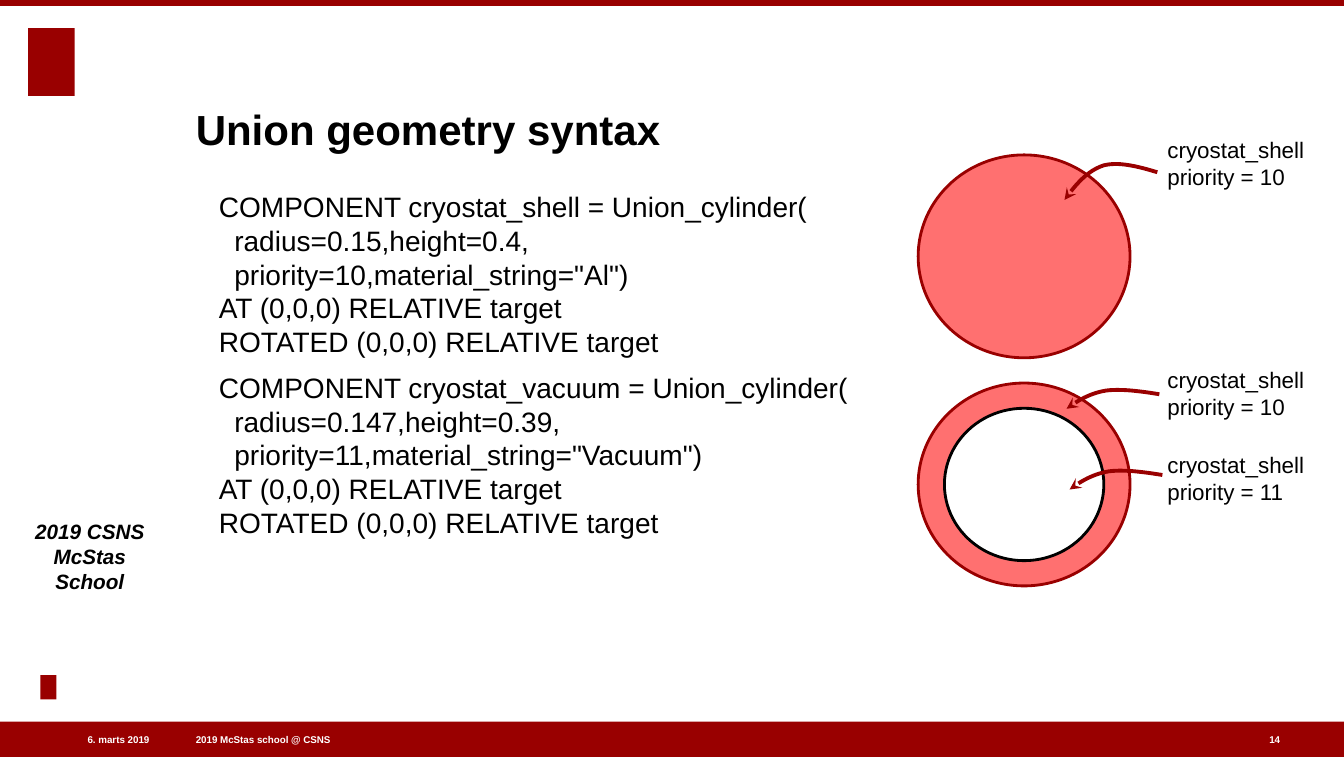
from lxml import etree
from pptx import Presentation
from pptx import util as u
from pptx.dml.color import RGBColor
from pptx.enum import shapes, text
from pptx.oxml.ns import qn

RED = RGBColor(0x99, 0x00, 0x00)
PINK = RGBColor(0xFF, 0x70, 0x70)
WHITE = RGBColor(0xFF, 0xFF, 0xFF)
BLACK = RGBColor(0x00, 0x00, 0x00)

WIDTH, HEIGHT = 13.32, 7.5
FOOTER_HEIGHT = 0.35
LABEL_LEFT = 11.57
CIRCLE_CENTRE = 10.15

# Two joined Bezier curves, as offsets from the arrow tip; y is in units of the rise.
ARROW_CURVE = [(0.92, -0.72), (0.73, -0.87), (0.54, -1), (0.39, -0.9),
               (0.23, -0.77), (0.11, -0.4), (0, 0)]

CODE = [
    """COMPONENT cryostat_shell = Union_cylinder(
  radius=0.15,height=0.4,
  priority=10,material_string="Al")
AT (0,0,0) RELATIVE target
ROTATED (0,0,0) RELATIVE target""",
    """COMPONENT cryostat_vacuum = Union_cylinder(
  radius=0.147,height=0.39,
  priority=11,material_string="Vacuum")
AT (0,0,0) RELATIVE target
ROTATED (0,0,0) RELATIVE target""",
]

# Label top, priority, arrow tip (x, y), arrow rise
CALLOUTS = [
    (1.35, 10, (10.55, 1.98), 0.38),
    (3.63, 10, (10.57, 4.05), 0.2),
    (4.47, 11, (10.6, 4.85), 0.2),
]


def bezier(points, steps=12):
    """Return points along a cubic Bezier curve, without its start."""
    curve = []
    for step in range(1, steps + 1):
        t = step / steps
        weights = ((1 - t) ** 3, 3 * t * (1 - t) ** 2, 3 * t * t * (1 - t), t ** 3)
        curve.append(tuple(sum(w * p[axis] for w, p in zip(weights, points))
                           for axis in (0, 1)))
    return curve


class SlideBuilder:
    font = "Arial"

    def __init__(self, slide):
        self.slide = slide

    def add_text(self, left, top, width, height, *paragraphs, size=16, color=BLACK,
                 bold=False, italic=False, align=text.PP_ALIGN.LEFT,
                 anchor=text.MSO_ANCHOR.TOP, margins=(0, 0), space=0, wrap=True):
        """Add a text box; margins are (sides, top and bottom) in inches."""
        box = self.slide.shapes.add_textbox(
            u.Inches(left), u.Inches(top), u.Inches(width), u.Inches(height))
        frame = box.text_frame
        frame.word_wrap = wrap
        frame.vertical_anchor = anchor
        frame.margin_left = frame.margin_right = u.Inches(margins[0])
        frame.margin_top = frame.margin_bottom = u.Inches(margins[1])
        for index, content in enumerate(paragraphs):
            para = frame.add_paragraph() if index else frame.paragraphs[0]
            para.text = content.replace("\n", "\v")
            para.alignment = align
            if index:
                para.space_before = u.Pt(space)
            for span in para.runs:
                span.font.name = self.font
                span.font.size = u.Pt(size)
                span.font.bold = bold
                span.font.italic = italic
                span.font.color.rgb = color

    def shape(self, kind, left, top, width, height, fill, line=None):
        shape = self.slide.shapes.add_shape(
            kind, u.Inches(left), u.Inches(top), u.Inches(width), u.Inches(height))
        shape.shadow.inherit = False
        shape.fill.solid()
        shape.fill.fore_color.rgb = fill
        if line is None:
            shape.line.fill.background()
        else:
            shape.line.color.rgb = line
            shape.line.width = u.Pt(2)

    def bar(self, left, top, width, height):
        self.shape(shapes.MSO_SHAPE.RECTANGLE, left, top, width, height, RED)

    def circle(self, centre_y, width, height, fill, line):
        self.shape(shapes.MSO_SHAPE.OVAL, CIRCLE_CENTRE - width / 2,
                   centre_y - height / 2, width, height, fill, line)

    def curved_arrow(self, tip, rise):
        points = [(tip[0] + x, tip[1] + y * rise) for x, y in ARROW_CURVE]
        trace = bezier(points[:4]) + bezier(points[3:])
        # Whole units are needed, so work in EMU.
        start, *rest = [(u.Inches(x), u.Inches(y)) for x, y in points[:1] + trace]
        builder = self.slide.shapes.build_freeform(*start)
        builder.add_line_segments(rest, close=False)
        arrow = builder.convert_to_shape()
        arrow.shadow.inherit = False
        arrow.fill.background()
        arrow.line.color.rgb = RED
        arrow.line.width = u.Pt(2.75)
        outline = arrow.element.spPr.find(qn("a:ln"))
        etree.SubElement(outline, qn("a:round"))
        etree.SubElement(outline, qn("a:tailEnd"), type="stealth")

    def footer(self, left, width, content, **style):
        self.add_text(left, 7.26, width, 0.14, content, size=7, color=WHITE,
                      bold=True, anchor=text.MSO_ANCHOR.MIDDLE, **style)


def main():
    deck = Presentation()
    deck.slide_width = u.Inches(WIDTH)
    deck.slide_height = u.Inches(HEIGHT)
    page = SlideBuilder(deck.slides.add_slide(deck.slide_layouts[6]))

    page.bar(0, 0, WIDTH, 0.06)
    page.bar(0, HEIGHT - FOOTER_HEIGHT, WIDTH, FOOTER_HEIGHT)
    page.bar(0.28, 0.28, 0.46, 0.67)  # plain emblem blocks
    page.bar(0.4, 6.69, 0.16, 0.24)
    page.footer(0.27, 1.21, "6. marts 2019", align=text.PP_ALIGN.RIGHT)
    page.footer(1.94, 3.72, "2019 McStas school @ CSNS")
    page.footer(12.58, 0.14, "14", wrap=False)

    page.add_text(0.34, 5.09, 1.1, 0.79, "2019 CSNS\nMcStas School", size=14.8,
                  bold=True, italic=True, align=text.PP_ALIGN.CENTER,
                  anchor=text.MSO_ANCHOR.BOTTOM)
    page.add_text(1.94, 0.47, 10.18, 1.06, "Union geometry syntax", size=30,
                  bold=True, anchor=text.MSO_ANCHOR.BOTTOM)
    page.add_text(2.07, 1.83, 6.66, 3.59, *CODE, size=20, margins=(0.1, 0.05),
                  space=9)

    page.circle(2.54, 2.1, 2.01, PINK, RED)
    page.circle(4.8, 2.1, 2.01, PINK, RED)
    page.circle(4.8, 1.58, 1.51, WHITE, BLACK)
    for top, priority, tip, rise in CALLOUTS:
        page.add_text(LABEL_LEFT, top, WIDTH - LABEL_LEFT, 0.66,
                      f"cryostat_shell\npriority = {priority}")
        page.curved_arrow(tip, rise)

    deck.save("out.pptx")


if __name__ == "__main__":
    main()
